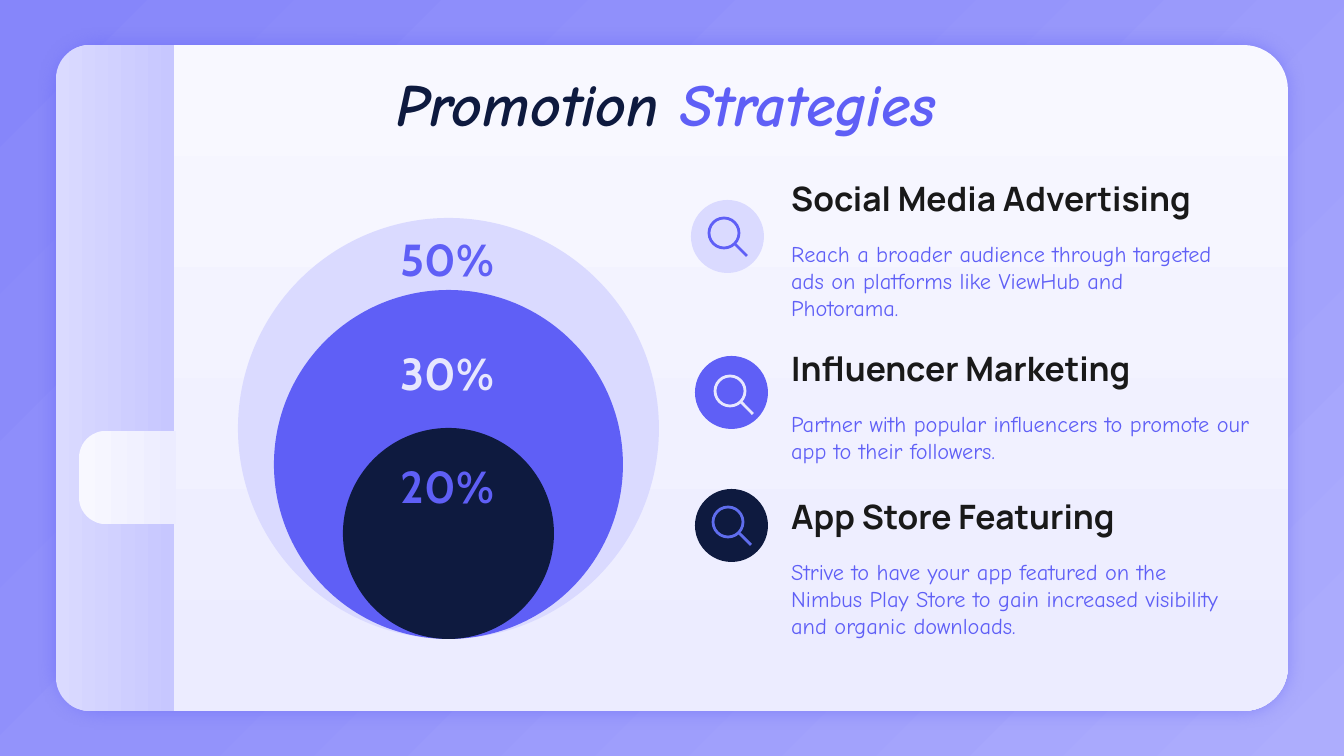
from dataclasses import dataclass
from pptx import Presentation
from pptx.dml.color import RGBColor
from pptx.enum.shapes import MSO_CONNECTOR as Connector, MSO_SHAPE as Shape
from pptx.enum.text import MSO_ANCHOR as Anchor, PP_ALIGN as Align
from pptx.oxml import parse_xml
from pptx.oxml.ns import nsdecls, qn
from pptx.util import Emu, Inches, Pt

WIDTH, HEIGHT = 1344, 756
SCALE = Inches(10) / WIDTH


@dataclass(frozen=True)
class Theme:
    """Colours, fonts and type sizes of the slide."""
    navy: str = "0E1A3F"
    violet: str = "5F5FF6"
    lilac: str = "DADAFF"
    mist: str = "E7E7FE"
    iris: str = "5F6DED"
    ink: str = "191919"
    backdrop: tuple = ((0, "ADADFD"), (58, "9393FB"), (100, "8686FA"))
    paper: tuple = ((0, "F8F8FF"), (100, "ECECFF"))
    spine: tuple = ((0, "DADAFF"), (100, "C7C7FF"))
    hand: str = "Comic Neue"
    sans: str = "Manrope"
    figure: str = "Cabin"
    title_size: int = 32
    figure_size: int = 24
    heading_size: int = 18
    body_size: int = 12
    line_width: float = 1.5


THEME = Theme()

RINGS = [
    (421, THEME.lilac, "50%", THEME.violet, 218),
    (349, THEME.violet, "30%", THEME.mist, 332),
    (211, THEME.navy, "20%", THEME.violet, 445),
]

STRATEGIES = [
    dict(heading="Social Media Advertising", top=177, width=460,
         body="Reach a broader audience through targeted ads on platforms "
              "like ViewHub and Photorama.",
         badge=(691, 200), inset=18, fill=THEME.lilac, line=THEME.violet),
    dict(heading="Influencer Marketing", top=347, width=489,
         body="Partner with popular influencers to promote our app to their followers.",
         badge=(695, 356), inset=20, fill=THEME.violet, line=THEME.mist),
    dict(heading="App Store Featuring", top=495, width=460,
         body="Strive to have your app featured on the Nimbus Play Store to gain "
              "increased visibility and organic downloads.",
         badge=(695, 489), inset=18, fill=THEME.navy, line=THEME.iris),
]


def px(*lengths):
    """Turn pixel lengths into EMU."""
    return [Emu(round(length * SCALE)) for length in lengths]


def paint_gradient(fill, element, stops, angle):
    """Give a fill a linear gradient with any number of stops."""
    fill.gradient()
    fill.gradient_angle = angle
    stop_list = element.find(f".//{qn('a:gsLst')}")
    for stop in list(stop_list):
        stop_list.remove(stop)
    for percent, color in stops:
        stop_list.append(parse_xml(
            f'<a:gs {nsdecls("a")} pos="{percent * 1000}"><a:srgbClr val="{color}"/></a:gs>'))


def add_panel(page, kind, frame, adjustment, stops, rotation=0):
    """Add a borderless gradient panel."""
    panel = page.shapes.add_shape(kind, *px(*frame))
    panel.shadow.inherit = False
    panel.adjustments[0] = adjustment
    panel.rotation = rotation
    panel.line.fill.background()
    paint_gradient(panel.fill, panel.element, stops, 270)
    return panel


def add_left_tab(page, left, top, width, height, stops):
    """Add a panel rounded on its left side only."""
    turned = (left + (width - height) / 2, top + (height - width) / 2, height, width)
    add_panel(page, Shape.ROUND_2_SAME_RECTANGLE, turned, 0.287, stops, 270)


def add_glow(shape, color):
    """Add a soft coloured shadow all around a shape."""
    effects = shape.element.spPr.find(qn("a:effectLst"))
    effects.append(parse_xml(
        f'<a:outerShdw {nsdecls("a")} blurRad="{Pt(10.1)}" dist="0" dir="0" algn="ctr" '
        f'rotWithShape="0"><a:srgbClr val="{color}"><a:alpha val="49000"/></a:srgbClr>'
        '</a:outerShdw>'))


def set_line(line, color):
    """Set the colour and width of a line."""
    line.color.rgb = RGBColor.from_string(color)
    line.width = Pt(THEME.line_width)


def add_circle(shapes, left, top, size, fill, line=None):
    """Add a filled circle, outlined if a line colour is given."""
    circle = shapes.add_shape(Shape.OVAL, *px(left, top, size, size))
    circle.shadow.inherit = False
    circle.fill.solid()
    circle.fill.fore_color.rgb = RGBColor.from_string(fill)
    if line:
        set_line(circle.line, line)
    else:
        circle.line.fill.background()


def add_search_badge(page, left, top, inset, fill, line):
    """Add a round badge holding a magnifying glass."""
    shapes = page.shapes.add_group_shape().shapes
    add_circle(shapes, left, top, 73, fill)
    x, y = left + inset, top + inset
    add_circle(shapes, x, y, 30, fill, line)
    handle = shapes.add_connector(Connector.STRAIGHT, *px(x + 26, y + 26, x + 38, y + 38))
    set_line(handle.line, line)
    handle.element.spPr.append(parse_xml(f'<a:effectLst {nsdecls("a")}/>'))


def add_text(page, frame, *spans, font, size, bold=False, italic=False,
             align=Align.LEFT, anchor=Anchor.TOP):
    """Add a text box of one paragraph from (text, colour) spans."""
    box = page.shapes.add_textbox(*px(*frame)).text_frame
    box.word_wrap = True
    box.vertical_anchor = anchor
    box.margin_left = box.margin_right = box.margin_top = box.margin_bottom = Inches(0.1)
    para = box.paragraphs[0]
    para.alignment = align
    for text, color in spans:
        span = para.add_run()
        span.text = text
        span.font.name, span.font.size = font, Pt(size)
        span.font.bold, span.font.italic = bold, italic
        span.font.color.rgb = RGBColor.from_string(color)


def add_rings(page):
    """Add the nested circles, resting on one base point, and their shares."""
    for size, fill, *_ in RINGS:
        add_circle(page.shapes, (897 - size) // 2, 639 - size, size, fill)
    for _, _, share, color, top in RINGS:
        add_text(page, (354, top, 187, 82), (share, color), font=THEME.figure,
                 size=THEME.figure_size, bold=True, align=Align.CENTER)


def add_strategy(page, heading, top, width, body, badge, inset, fill, line):
    """Add one strategy: badge, heading and description."""
    add_search_badge(page, *badge, inset, fill, line)
    add_text(page, (778, top, 460, 55), (heading, THEME.ink), font=THEME.sans,
             size=THEME.heading_size, bold=True, anchor=Anchor.BOTTOM)
    add_text(page, (778, top + 50, width, 101), (body, THEME.violet),
             font=THEME.hand, size=THEME.body_size)


def main():
    """Build and save the slide."""
    deck = Presentation()
    deck.slide_width, deck.slide_height = px(WIDTH, HEIGHT)
    page = deck.slides.add_slide(deck.slide_layouts[6])
    paint_gradient(page.background.fill, page.element, THEME.backdrop, 135)
    card = add_panel(page, Shape.ROUNDED_RECTANGLE, (56, 45, 1232, 666), 0.067, THEME.paper)
    add_glow(card, THEME.violet)
    add_left_tab(page, 56, 45, 118, 666, THEME.spine)
    add_left_tab(page, 79, 431, 97, 93, THEME.paper)
    add_text(page, (303, 50, 727, 106), ("Promotion", THEME.navy),
             (" Strategies", THEME.violet), font=THEME.hand, size=THEME.title_size,
             bold=True, italic=True, align=Align.CENTER, anchor=Anchor.MIDDLE)
    add_rings(page)
    for strategy in STRATEGIES:
        add_strategy(page, **strategy)
    deck.save("out.pptx")


if __name__ == "__main__":
    main()
